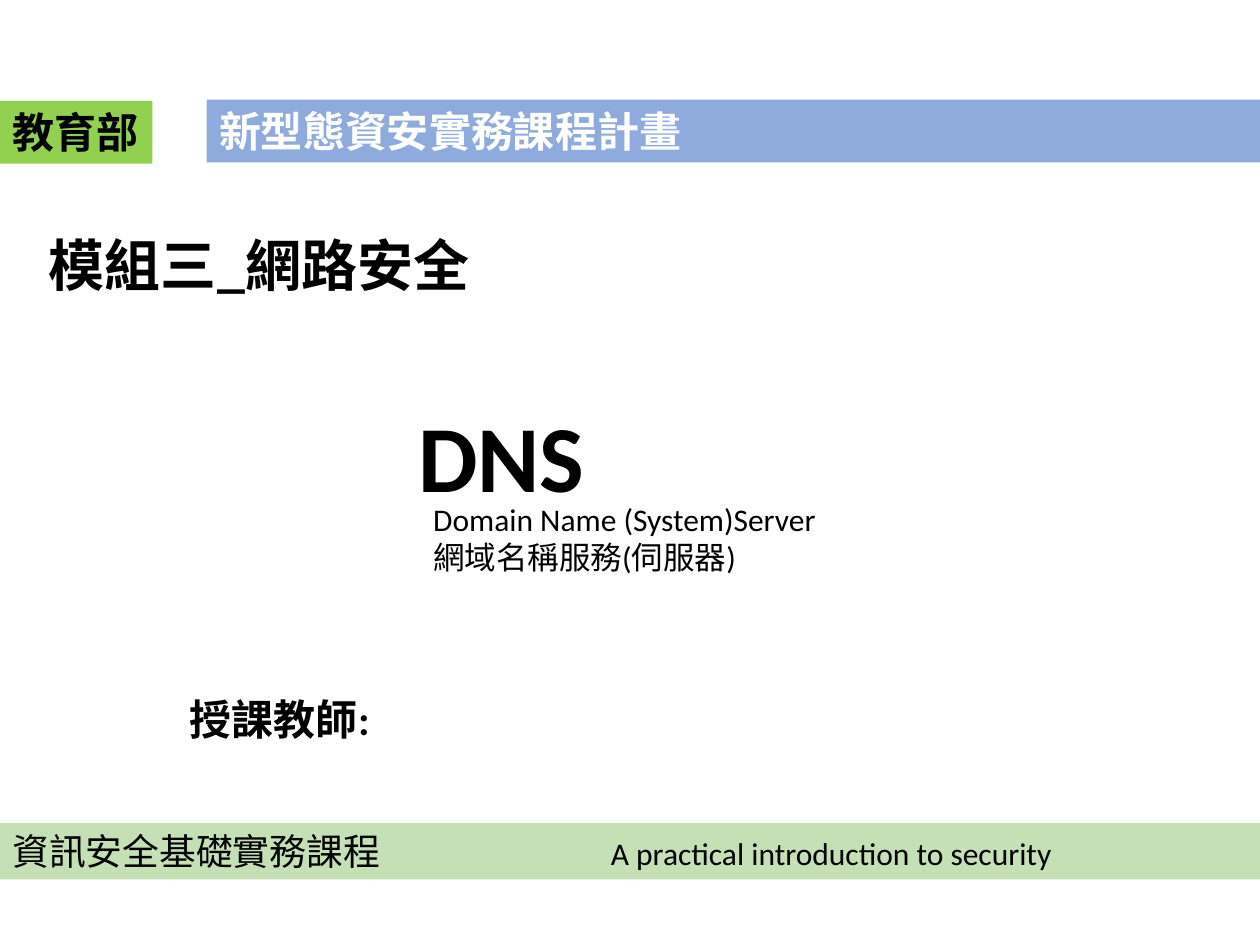
from lxml import etree
from pptx import Presentation
from pptx.dml.color import RGBColor
from pptx.enum.shapes import MSO_SHAPE
from pptx.enum.text import MSO_ANCHOR, MSO_AUTO_SIZE, PP_ALIGN
from pptx.oxml.ns import qn
from pptx.util import Inches, Pt

RECT = MSO_SHAPE.RECTANGLE
TOP, BOTTOM = MSO_ANCHOR.TOP, MSO_ANCHOR.BOTTOM
LEFT, CENTER = PP_ALIGN.LEFT, PP_ALIGN.CENTER
NO_FIT = MSO_AUTO_SIZE.NONE
WIDE, HIGH = 10, 7.5
TITLE_ONLY = 5


def color(code):
    return RGBColor.from_string(code)


class Cover:
    """Style and slide; boxes are (left, top, width, height) in inch columns and rows."""
    face, cjk = "Calibri", "Noto Sans CJK SC"
    ink, white = "000000", "FFFFFF"
    blue, lime, green = "8FAADC", "92D050", "C5E0B4"

    def __init__(self, deck):
        self.slide = deck.slides.add_slide(deck.slide_layouts[TITLE_ONLY])

    def style(self, font, size, bold=False, ink=ink, face=face):
        font.size, font.bold, font.name = Pt(size), bold, face
        font.color.rgb = color(ink)

    def fill_text(self, shape, lines, size, bold=False, ink=ink, wrap=True,
                  align=LEFT, anchor=TOP, space=None):
        frame = shape.text_frame
        frame.text = "\n".join(lines)
        frame.word_wrap, frame.auto_size = wrap, NO_FIT
        frame.vertical_anchor = anchor
        for para in frame.paragraphs:
            para.alignment, para.line_spacing = align, space
            self.style(para.font, size, bold, ink)

    def title(self, text, box, size):
        shape = self.slide.shapes.title
        shape.left, shape.top, shape.width, shape.height = map(Inches, box)
        self.fill_text(shape, [text], size, True, align=CENTER, anchor=BOTTOM, space=0.9)

    def text(self, lines, box, size, **look):
        shape = self.slide.shapes.add_textbox(*map(Inches, box))
        self.fill_text(shape, lines, size, **look)

    def band(self, box, fill):
        shape = self.slide.shapes.add_shape(RECT, *map(Inches, box))
        shape.shadow.inherit = False
        shape.fill.solid()
        shape.fill.fore_color.rgb = color(fill)
        shape.line.fill.background()
        return shape

    def label(self, text, box, fill, size, **look):
        self.fill_text(self.band(box, fill), [text], size, bold=True, **look)

    def footer(self, name, motto, box, stop):
        """Band with the course name, and the motto at a tab stop."""
        frame = self.band(box, self.green).text_frame
        frame.word_wrap, frame.vertical_anchor = True, TOP
        para = frame.paragraphs[0]
        para.alignment = LEFT
        tabs = etree.SubElement(para._p.get_or_add_pPr(), qn("a:tabLst"))
        etree.SubElement(tabs, qn("a:tab"), pos=str(Inches(stop)), algn="l")
        for text, size, face in ((name + "\t", 21, self.cjk), (motto, 18, self.face)):
            run = para.add_run()
            run.text = text
            self.style(run.font, size, face=face)


def main():
    deck = Presentation()
    deck.slide_width, deck.slide_height = Inches(WIDE), Inches(HIGH)
    cover = Cover(deck)
    cover.label("新型態資安實務課程計畫", (1.64, 0.79, WIDE - 1.64, 0.5),
                cover.blue, 24, ink=cover.white)
    cover.label("教育部", (0, 0.8, 1.21, 0.5), cover.lime, 24, wrap=False)
    cover.title("DNS", (3.07, 3.41, 1.82, 0.71), 54)
    cover.text(["授課教師:"], (1.41, 5.5, 7.5, 0.94), 24, bold=True, space=0.9)
    cover.footer("資訊安全基礎實務課程", "A practical introduction to security",
                 (0, 6.53, WIDE, 0.45), 4.75)
    cover.text(["模組三_網路安全"], (0.29, 1.78, 3.57, 0.64), 32, bold=True)
    cover.text(["Domain Name (System)Server", "網域名稱服務(伺服器)"],
               (3.34, 3.92, 3.27, 0.71), 18, wrap=False)
    deck.save("out.pptx")


if __name__ == "__main__":
    main()
